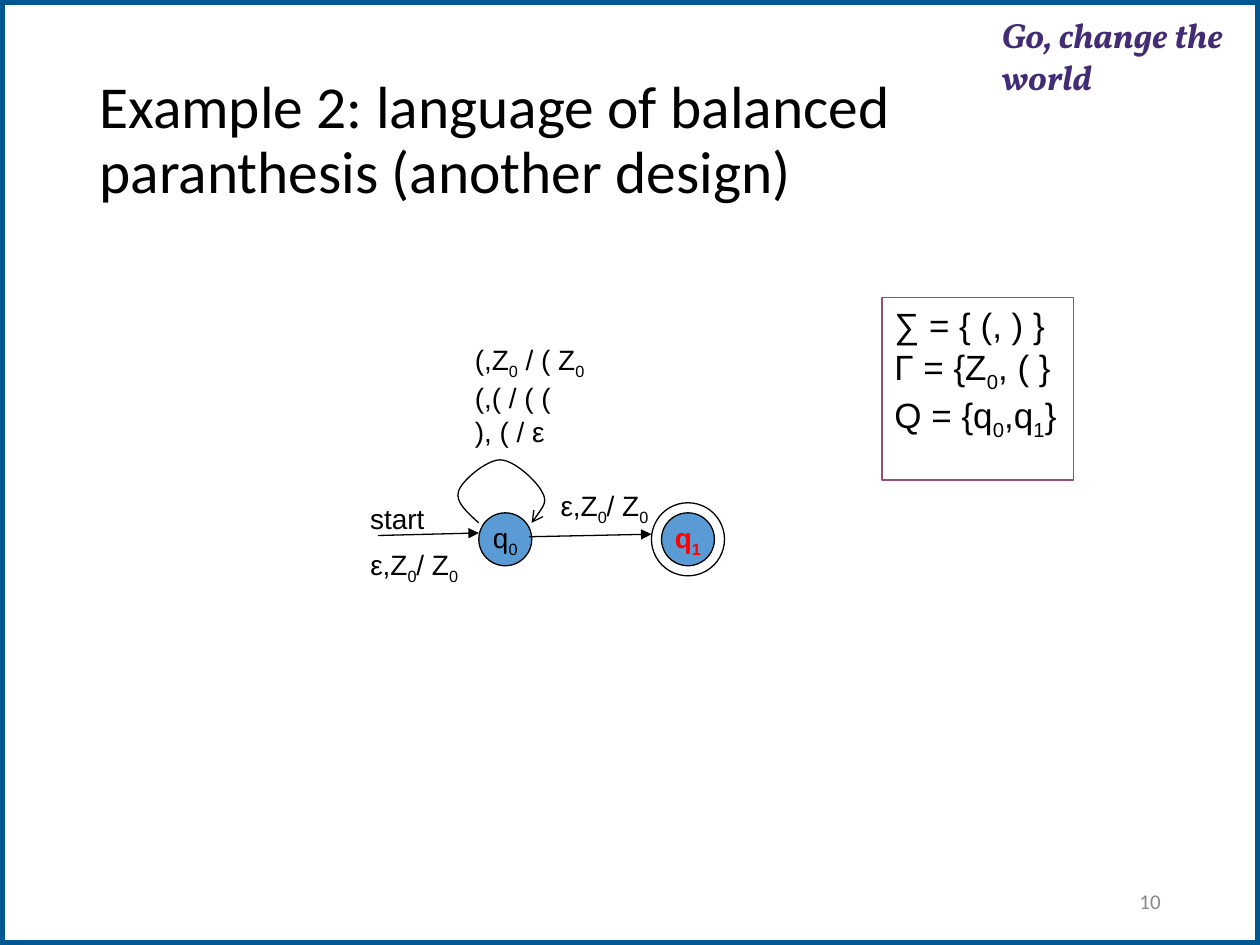
from dataclasses import dataclass

from lxml import etree
from pptx import Presentation
from pptx.dml.color import RGBColor
from pptx.enum.shapes import MSO_CONNECTOR, MSO_SHAPE
from pptx.enum.text import MSO_ANCHOR, PP_ALIGN
from pptx.oxml.ns import qn
from pptx.util import Inches, Pt

RECTANGLE, OVAL = MSO_SHAPE.RECTANGLE, MSO_SHAPE.OVAL
STRAIGHT = MSO_CONNECTOR.STRAIGHT
TOP, MIDDLE = MSO_ANCHOR.TOP, MSO_ANCHOR.MIDDLE
LEFT, CENTER, RIGHT = PP_ALIGN.LEFT, PP_ALIGN.CENTER, PP_ALIGN.RIGHT


@dataclass(frozen=True)
class Theme:
    white: str = "FFFFFF"
    ink: str = "000000"
    border: str = "005893"
    motto: str = "422C75"
    muted: str = "898989"
    state: str = "5B9BD5"
    accepting: str = "FF0000"
    alphabet_line: str = "954F72"
    heading_font: str = "Calibri"
    diagram_font: str = "Arial"
    motto_font: str = "Vollkorn"
    title_size: int = 34
    large_size: int = 20
    label_size: int = 16
    number_size: int = 12
    border_width: float = 6
    thin_width: float = 0.75


THEME = Theme()


def rgb(value):
    return RGBColor.from_string(value)


def inches(values):
    return [Inches(value) for value in values]


def write(shape, lines, size, font=THEME.diagram_font, color=THEME.ink, align=LEFT,
          anchor=TOP, wrap=False, bold=False, italic=False, spacing=None):
    frame = shape.text_frame
    frame.word_wrap, frame.vertical_anchor = wrap, anchor
    for index, line in enumerate(lines):
        paragraph = frame.add_paragraph() if index else frame.paragraphs[0]
        paragraph.alignment = align
        paragraph.line_spacing = spacing
        first, *marked = line.split("_")
        pieces = [(first, False)]
        for part in marked:
            pieces += [(part[0], True), (part[1:], False)]
        for text, subscript in pieces:
            if not text:
                continue
            run = paragraph.add_run()
            run.text = text
            run.font.size, run.font.name = Pt(size), font
            run.font.bold, run.font.italic = bold, italic
            run.font.color.rgb = rgb(color)
            if subscript:
                run.font._element.set("baseline", "-25000")


def add_text(slide, box, lines, size, **style):
    label = slide.shapes.add_textbox(*inches(box))
    write(label, lines, size, **style)
    return label


def set_outline(shape, color=THEME.ink, width=THEME.thin_width):
    shape.line.color.rgb = rgb(color)
    shape.line.width = Pt(width)


def set_arrowhead(shape, kind):
    etree.SubElement(shape.line._get_or_add_ln(), qn("a:tailEnd"), type=kind)


def add_outlined(slide, preset, box, fill=None, color=THEME.ink, width=THEME.thin_width):
    shape = slide.shapes.add_shape(preset, *inches(box))
    shape.shadow.inherit = False
    if fill:
        shape.fill.solid()
        shape.fill.fore_color.rgb = rgb(fill)
    else:
        shape.fill.background()
    set_outline(shape, color, width)
    return shape


def add_transition(slide, start, end):
    arrow = slide.shapes.add_connector(STRAIGHT, *inches(start + end))
    set_outline(arrow)
    set_arrowhead(arrow, "triangle")
    etree.SubElement(arrow._element.spPr, qn("a:effectLst"))


def add_loop(slide, left, top):
    points = [(left + x, top + y) for x, y in (
        (0.19, 0.5), (0.1, 0.42), (0, 0.33), (0.03, 0.25),
        (0.05, 0.17), (0.25, 0), (0.36, 0),
        (0.47, 0), (0.65, 0.17), (0.69, 0.25),
        (0.74, 0.33), (0.67, 0.42), (0.61, 0.5))]
    start, *controls = [tuple(inches(point)) for point in points]
    builder = slide.shapes.build_freeform(*start)
    builder.add_line_segments(controls, close=False)
    loop = builder.convert_to_shape()
    outline = loop._element.spPr.find(".//" + qn("a:path"))
    segments = outline.findall(qn("a:lnTo"))
    for first in range(0, len(segments), 3):
        curve = etree.SubElement(outline, qn("a:cubicBezTo"))
        for segment in segments[first:first + 3]:
            curve.append(segment[0])
            outline.remove(segment)
    loop.shadow.inherit = False
    loop.fill.background()
    set_outline(loop)
    set_arrowhead(loop, "arrow")


def add_state(slide, left, top, name, accepting=False):
    diameter, ring = 0.42, 0.08
    if accepting:
        outer = diameter + 2 * ring
        add_outlined(slide, OVAL, (left - ring, top - ring, outer, outer))
    state = add_outlined(slide, OVAL, (left, top, diameter, diameter), THEME.state)
    write(state, [name], THEME.label_size, align=CENTER, anchor=MIDDLE, bold=accepting,
          color=THEME.accepting if accepting else THEME.ink)


def add_page_frame(slide, left, top, width, height):
    add_outlined(slide, RECTANGLE, (left, top, width, height),
                 THEME.white, THEME.border, THEME.border_width)
    motto = add_text(slide, (left + 7.94, top + 0.1, 2.05, 0.62), ["Go, change the world"],
                     THEME.large_size, font=THEME.motto_font, color=THEME.motto,
                     bold=True, italic=True, wrap=True)
    frame = motto.text_frame
    frame.margin_left = frame.margin_top = Inches(0.01)
    frame.margin_right = frame.margin_bottom = 0
    add_text(slide, (left + 7.06, top + 6.95, 2.25, 0.4), ["10"], THEME.number_size,
             font=THEME.heading_font, color=THEME.muted, align=RIGHT,
             anchor=MIDDLE, wrap=True)


def add_title(slide, *box):
    add_text(slide, box, ["Example 2: language of balanced paranthesis (another design)"],
             THEME.title_size, font=THEME.heading_font, anchor=MIDDLE,
             wrap=True, spacing=0.9)


def add_alphabets(slide, *box):
    panel = add_outlined(slide, RECTANGLE, box, color=THEME.alphabet_line)
    write(panel, ["∑ = { (, ) }", "Γ = {Z_0, ( }", "Q = {q_0,q_1}"], THEME.large_size)


def add_automaton(slide, left, top):
    def at(x, y):
        return left + x, top + y

    add_state(slide, *at(0.96, 1.4), "q_0")
    add_state(slide, *at(2.41, 1.4), "q_1", accepting=True)
    add_transition(slide, at(0.16, 1.58), at(0.96, 1.56))
    add_transition(slide, at(1.36, 1.59), at(2.33, 1.57))
    add_loop(slide, *at(0.77, 0.98))
    move = "ε,Z_0/ Z_0"
    labels = [
        ((0.83, 0), (1.09, 0.91), ["(,Z_0 / ( Z_0", "(,( / ( (", "), ( / ε"]),
        ((0, 1.26), (0.64, 0.37), ["start"]),
        ((1.51, 1.16), (0.99, 0.37), [move]),
        ((0, 1.63), (0.99, 0.37), [move]),
    ]
    for corner, extent, lines in labels:
        add_text(slide, at(*corner) + extent, lines, THEME.label_size)


def main():
    deck = Presentation()
    deck.slide_width, deck.slide_height = Inches(10), Inches(7.5)
    slide = deck.slides.add_slide(deck.slide_layouts[6])
    add_page_frame(slide, 0, 0, 10, 7.5)
    add_title(slide, 0.69, 0.4, 8.62, 1.45)
    add_alphabets(slide, 7, 2.36, 1.52, 1.45)
    add_automaton(slide, 2.84, 2.67)
    deck.save("out.pptx")


if __name__ == "__main__":
    main()
